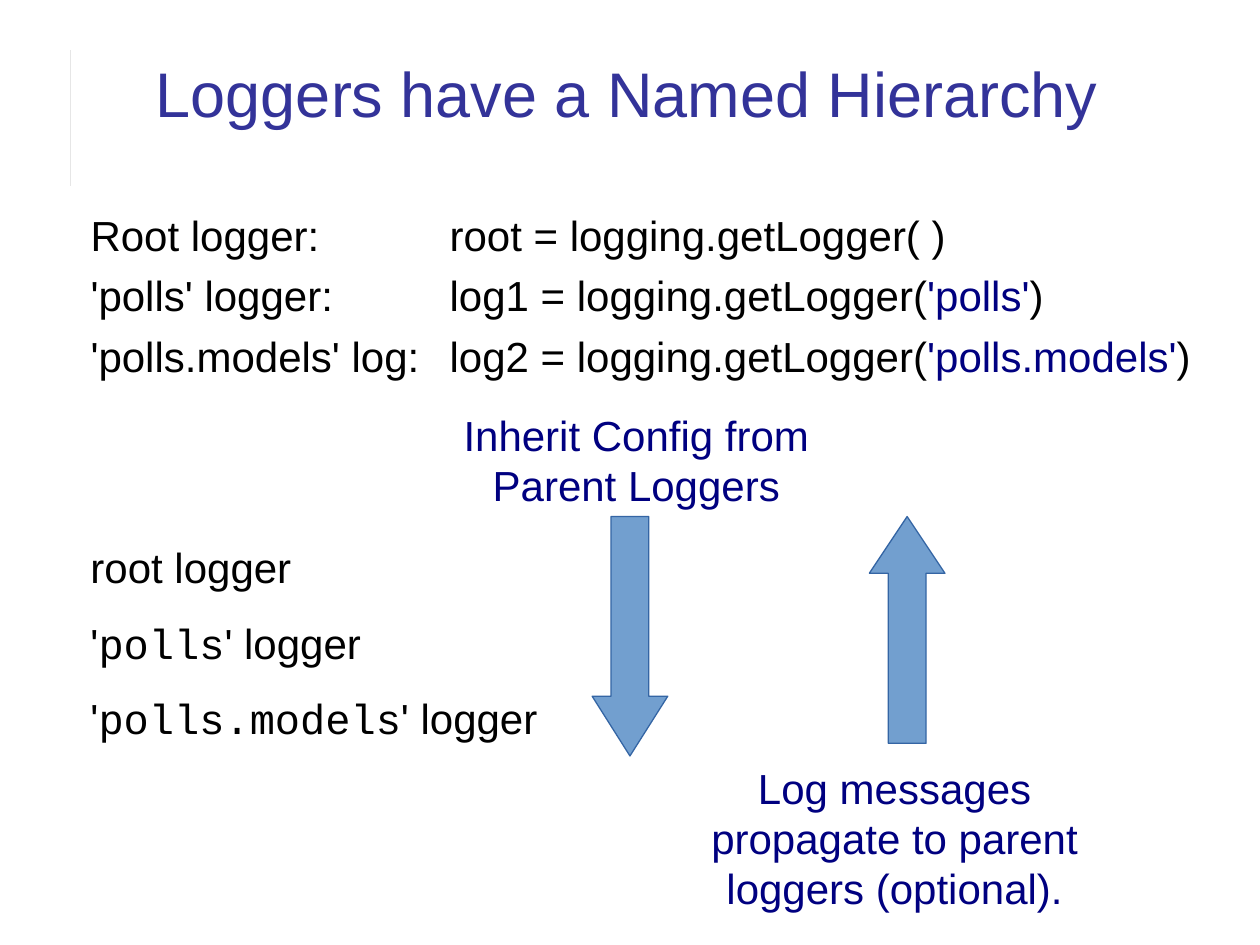
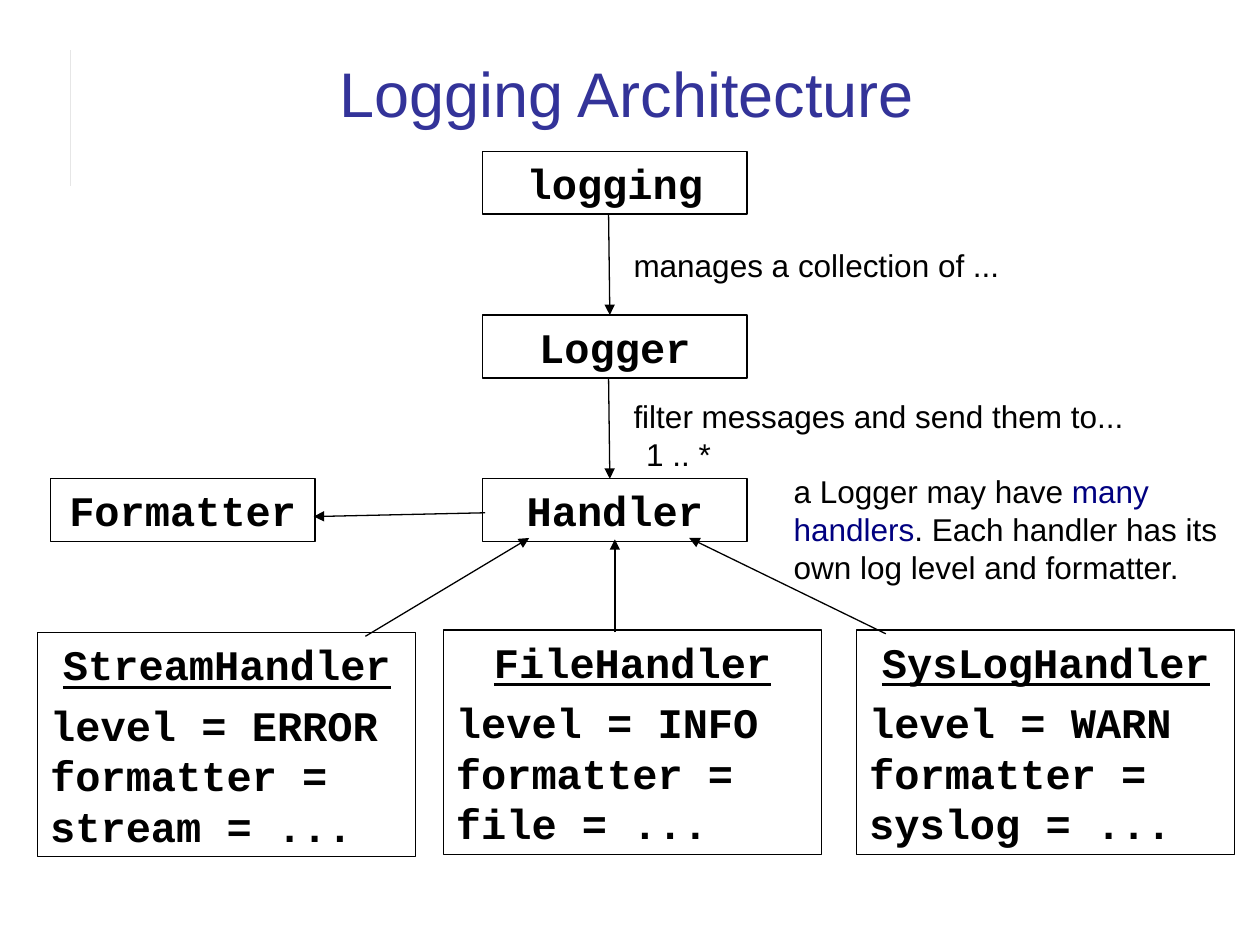
"""Build two slides on the logger hierarchy and the logging architecture."""
from dataclasses import dataclass

import pptx
import pptx.dml.color
import pptx.enum.shapes
import pptx.enum.text
import pptx.oxml.ns
import pptx.util
from lxml import etree

Inches = pptx.util.Inches
Shape = pptx.enum.shapes.MSO_SHAPE
Align = pptx.enum.text.PP_ALIGN


@dataclass(frozen=True)
class Theme:
    title_color: str = "333399"
    text_color: str = "000000"
    accent: str = "000080"
    arrow_fill: str = "729FCF"
    arrow_line: str = "3465A4"
    rule: str = "E6E6E6"
    sans: str = "Arial"
    mono: str = "Courier New"
    title_size: float = 36
    body_size: float = 24
    label_size: float = 18
    line_width: float = 0.75


theme = Theme()
ACCENT = {"color": theme.accent}
MONO = {"font": theme.mono}

HIERARCHY_TITLE = "Loggers have a Named Hierarchy"
LOGGER_CALLS = [
    ["Root logger:\troot = logging.getLogger( )"],
    ["'polls' logger:\tlog1 = logging.getLogger(", ("'polls'", ACCENT), ")"],
    ["'polls.models' log:\tlog2 = logging.getLogger(", ("'polls.models'", ACCENT), ")"],
]
LOGGER_NAMES = [
    ["root logger"],
    ["'", ("polls", MONO), "' logger"],
    ["'", ("polls.models", MONO), "' logger"],
]
FLOW_ARROWS = [
    (Shape.DOWN_ARROW, (4.7, 4.1, 0.6, 1.9), 0.79),
    (Shape.UP_ARROW, (6.9, 4.1, 0.6, 1.8), 0.75),
]
FLOW_NOTES = [
    ("Inherit Config from Parent Loggers", (3.35, 3.2, 3.4, 1.3)),
    ("Log messages propagate to parent loggers (optional).", (5.3, 6, 3.6, 1.3)),
]

ARCHITECTURE_TITLE = "Logging Architecture"
CLASS_SIZE = (2.1, 0.5)
CHAIN = ["logging", "Logger", "Handler"]
CHAIN_LEFT, CHAIN_TOP, CHAIN_STEP = 3.83, 1.2, 1.3
FORMATTER_AT = (0.4, 3.8)
HANDLER_SIZE = (3, 1.78)
HANDLERS = [
    ("StreamHandler", "ERROR", "stream", (0.3, 5.02)),
    ("FileHandler", "INFO", "file", (3.52, 5)),
    ("SysLogHandler", "WARN", "syslog", (6.8, 5)),
]
LABELS = [
    (["manages a collection of ..."], (4.93, 1.9, 3.6, 0.4)),
    (["filter messages and send them to..."], (4.93, 3.1, 4.47, 0.4)),
    (["1 .. *"], (5.03, 3.4, 1, 0.4)),
    (["a Logger may have ", ("many handlers", ACCENT),
      ". Each handler has its own log level and formatter."], (6.2, 3.7, 3.7, 1)),
]
LINKS = [
    (2.9, 5.05, 4.2, 4.27),
    (4.88, 5.02, 4.88, 4.28),
    (7.03, 5.03, 5.47, 4.27),
    (3.85, 4.07, 2.49, 4.1),
]


def rgb(color):
    return pptx.dml.color.RGBColor.from_string(color)


def add_text(frame, runs, *, size=theme.body_size, font=theme.sans, color=theme.text_color,
             bold=False, underline=False, align=Align.LEFT, before=0, after=0, tab=None):
    """Append one paragraph; a run is text or a pair of text and format changes."""
    first = not frame.text
    paragraph = frame.paragraphs[0] if first else frame.add_paragraph()
    if tab:
        tabs = etree.SubElement(paragraph._p.get_or_add_pPr(), pptx.oxml.ns.qn("a:tabLst"))
        etree.SubElement(tabs, pptx.oxml.ns.qn("a:tab"), pos=str(Inches(tab)), algn="l")
    paragraph.alignment = align
    paragraph.space_before = pptx.util.Pt(0 if first else before)
    paragraph.space_after = pptx.util.Pt(after)
    for item in runs:
        text, changes = (item, {}) if isinstance(item, str) else item
        run = paragraph.add_run()
        run.text = text
        run.font.size = pptx.util.Pt(size)
        run.font.name = changes.get("font", font)
        run.font.color.rgb = rgb(changes.get("color", color))
        run.font.bold = bold
        run.font.underline = underline


def add_text_box(slide, place, anchor=pptx.enum.text.MSO_ANCHOR.TOP):
    frame = slide.shapes.add_textbox(*map(Inches, place)).text_frame
    frame.word_wrap = True
    frame.vertical_anchor = anchor
    return frame


def add_outline(slide, kind, place, line, fill=None):
    shape = slide.shapes.add_shape(kind, *map(Inches, place))
    shape.shadow.inherit = False
    if fill:
        shape.fill.solid()
        shape.fill.fore_color.rgb = rgb(fill)
    else:
        shape.fill.background()
    shape.line.color.rgb = rgb(line)
    shape.line.width = pptx.util.Pt(theme.line_width)
    return shape


def add_line(slide, points, color=theme.text_color, arrow=True):
    connector = slide.shapes.add_connector(
        pptx.enum.shapes.MSO_CONNECTOR.STRAIGHT, *map(Inches, points))
    connector.line.color.rgb = rgb(color)
    connector.line.width = pptx.util.Pt(theme.line_width)
    if arrow:
        etree.SubElement(connector.line._get_or_add_ln(), pptx.oxml.ns.qn("a:tailEnd"),
                         type="triangle")
    etree.SubElement(connector._element.spPr, pptx.oxml.ns.qn("a:effectLst"))


def add_class_box(slide, place, name, members=()):
    box = add_outline(slide, Shape.RECTANGLE, place, theme.text_color)
    frame = box.text_frame
    frame.word_wrap = True
    frame.vertical_anchor = pptx.enum.text.MSO_ANCHOR.TOP
    add_text(frame, [name], font=theme.mono, bold=True, underline=bool(members),
             align=Align.CENTER, after=5.8 if members else 0)
    for member in members:
        add_text(frame, [member], font=theme.mono, bold=True)


def add_titled_slide(presentation, title):
    slide = presentation.slides.add_slide(presentation.slide_layouts[6])
    add_line(slide, (0.56, 0.4, 0.56, 1.48), theme.rule, arrow=False)
    frame = add_text_box(slide, (0.67, 0.28, 8.61, 0.9), pptx.enum.text.MSO_ANCHOR.MIDDLE)
    add_text(frame, [title], size=theme.title_size, color=theme.title_color, align=Align.CENTER)
    return slide


def build_hierarchy(presentation):
    slide = add_titled_slide(presentation, HIERARCHY_TITLE)
    calls = add_text_box(slide, (0.62, 1.61, 9.18, 1.6))
    for runs in LOGGER_CALLS:
        add_text(calls, runs, before=6, tab=2.85)
    names = add_text_box(slide, (0.62, 4.25, 4, 1.8))
    for runs in LOGGER_NAMES:
        add_text(names, runs, before=14.3)
    for kind, place, head in FLOW_ARROWS:
        arrow = add_outline(slide, kind, place, theme.arrow_line, theme.arrow_fill)
        arrow.adjustments[0] = 0.5
        arrow.adjustments[1] = head
    for note, place in FLOW_NOTES:
        add_text(add_text_box(slide, place), [note], color=theme.accent, align=Align.CENTER)


def build_architecture(presentation):
    slide = add_titled_slide(presentation, ARCHITECTURE_TITLE)
    for index, name in enumerate(CHAIN):
        top = CHAIN_TOP + index * CHAIN_STEP
        add_class_box(slide, (CHAIN_LEFT, top, *CLASS_SIZE), name)
        if index:
            add_line(slide, (4.83, top - CHAIN_STEP + CLASS_SIZE[1], 4.84, top))
    add_class_box(slide, (*FORMATTER_AT, *CLASS_SIZE), "Formatter")
    for name, level, target, corner in HANDLERS:
        members = [f"level = {level}", "formatter =", f"{target} = ..."]
        add_class_box(slide, (*corner, *HANDLER_SIZE), name, members)
    for points in LINKS:
        add_line(slide, points)
    for runs, place in LABELS:
        add_text(add_text_box(slide, place), runs, size=theme.label_size)


def main():
    presentation = pptx.Presentation()
    presentation.slide_width = Inches(10)
    presentation.slide_height = Inches(7.5)
    build_hierarchy(presentation)
    build_architecture(presentation)
    presentation.save("out.pptx")


if __name__ == "__main__":
    main()
